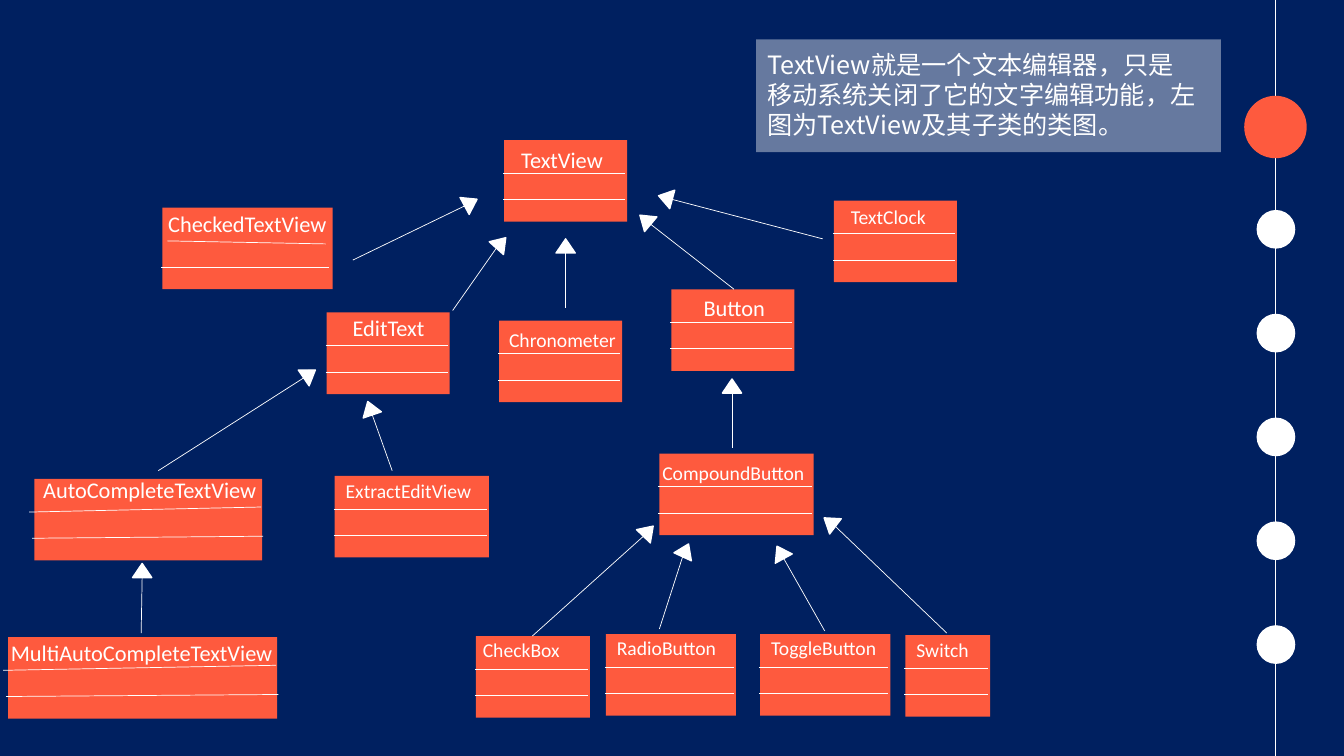
from dataclasses import dataclass
from math import cos, radians, sin

from lxml import etree
from pptx import Presentation
from pptx.dml.color import RGBColor
from pptx.enum.shapes import MSO_CONNECTOR, MSO_SHAPE
from pptx.oxml.ns import qn
from pptx.util import Inches, Pt

COLORS = {"navy": "002060", "coral": "FE5A3E", "white": "FFFFFF"}
LATIN_FONT = "Calibri"
CJK_FONT = "Noto Sans CJK SC"
BOX_HEIGHT = 0.81
HEAD_WIDTH, HEAD_HEIGHT = 0.19, 0.14

# Each divider: shift from left edge, y, shift from right edge, y
LEVEL = ((-0.01, 0.33, -0.02, 0.33), (-0.01, 0.59, -0.02, 0.59))
SLANTED = ((-0.05, 0.33, -0.01, 0.28), (-0.02, 0.59, 0.01, 0.57))
CHECKED = ((0.05, 0.33, -0.07, 0.36), (-0.01, 0.59, -0.04, 0.59))


@dataclass
class ClassBox:
    name: str
    left: float
    top: float
    width: float
    label_left: float
    label_top: float
    label_width: float
    size: int = 14
    dividers: tuple = LEVEL


@dataclass
class Inheritance:
    """Arrow whose head lies at (x, y), turned by angle, with its far end at the tail."""
    x: float
    y: float
    angle: float
    tail_x: float
    tail_y: float


CLASSES = [
    ClassBox("TextView", 5, 1.39, 1.22, 5.07, 1.4, 1.28, 16),
    ClassBox("Chronometer", 4.95, 3.18, 1.22, 4.95, 3.2, 1.38),
    ClassBox("CompoundButton", 6.54, 4.5, 1.53, 6.47, 4.52, 1.75),
    ClassBox("EditText", 3.24, 3.1, 1.22, 3.4, 3.07, 1.27, 16),
    ClassBox("Button", 6.66, 2.87, 1.22, 6.88, 2.87, 0.85, 16),
    ClassBox("TextClock", 8.27, 1.99, 1.22, 8.34, 1.98, 0.96),
    ClassBox("AutoCompleteTextView", 0.34, 4.75, 2.26, 0.33, 4.67, 2.48, 16, SLANTED),
    ClassBox("CheckedTextView", 1.61, 2.06, 1.69, 1.57, 2.04, 1.92, 16, CHECKED),
    ClassBox("MultiAutoCompleteTextView", 0.08, 6.32, 2.67, 0.01, 6.29, 2.94, 16, SLANTED),
    ClassBox("ExtractEditView", 3.32, 4.72, 1.53, 3.33, 4.7, 1.49),
    ClassBox("ToggleButton", 7.54, 6.29, 1.29, 7.55, 6.26, 1.26),
    ClassBox("CheckBox", 4.72, 6.31, 1.13, 4.69, 6.28, 1.1),
    ClassBox("RadioButton", 6.01, 6.29, 1.29, 6.02, 6.26, 1.26),
    ClassBox("Switch", 8.98, 6.3, 0.84, 8.99, 6.28, 0.82),
]

INHERITANCES = [
    Inheritance(5.61, 2.44, 0, 5.61, 3.06),
    Inheritance(4.67, 2.01, 61.6, 3.5, 2.58),
    Inheritance(4.97, 2.41, 42, 4.49, 3.08),
    Inheritance(6.6, 1.96, 285.2, 8.16, 2.37),
    Inheritance(6.4, 2.18, 310.1, 7.28, 2.87),
    Inheritance(3.07, 3.71, 55.7, 1.57, 4.67),
    Inheritance(3.67, 4.05, 341.3, 3.89, 4.67),
    Inheritance(1.41, 5.66, 0, 1.4, 6.28),
    Inheritance(7.26, 3.83, 0, 7.26, 4.44),
    Inheritance(6.43, 5.27, 43.9, 5.28, 6.31),
    Inheritance(6.8, 5.46, 24.7, 6.54, 6.24),
    Inheritance(7.74, 5.48, 331.3, 8.18, 6.26),
    Inheritance(8.23, 5.18, 307.2, 9.39, 6.28),
]

REMARK = [
    "TextView就是一个文本编辑器，只是",
    "移动系统关闭了它的文字编辑功能，左",
    "图为TextView及其子类的类图。",
]


def rgb(color: str) -> RGBColor:
    return RGBColor.from_string(COLORS[color])


def add_filled(slide, kind, left: float, top: float, width: float, height: float,
               color: str, outlined: bool = False):
    shape = slide.shapes.add_shape(
        kind, Inches(left), Inches(top), Inches(width), Inches(height))
    shape.shadow.inherit = False
    shape.fill.solid()
    shape.fill.fore_color.rgb = rgb(color)
    if outlined:
        shape.line.color.rgb = rgb(color)
        shape.line.width = Pt(1)
    else:
        shape.line.fill.background()
    return shape


def add_rule(slide, x1: float, y1: float, x2: float, y2: float) -> None:
    rule = slide.shapes.add_connector(
        MSO_CONNECTOR.STRAIGHT, Inches(x1), Inches(y1), Inches(x2), Inches(y2))
    rule.line.color.rgb = rgb("white")
    rule.line.width = Pt(0.5)
    etree.SubElement(rule._element.spPr, qn("a:effectLst"))


def add_text(slide, lines: list[str], left: float, top: float, width: float,
             height: float, size: int, font: str, wrap: bool = True):
    box = slide.shapes.add_textbox(
        Inches(left), Inches(top), Inches(width), Inches(height))
    frame = box.text_frame
    frame.word_wrap = wrap
    frame.text = "\n".join(lines)
    for paragraph in frame.paragraphs:
        for run in paragraph.runs:
            run.font.size = Pt(size)
            run.font.name = font
            run.font.color.rgb = rgb("white")
            east_asian = etree.SubElement(run._r.get_or_add_rPr(), qn("a:ea"))
            east_asian.set("typeface", font)
    return frame


def draw_class(slide, item: ClassBox) -> None:
    add_filled(slide, MSO_SHAPE.RECTANGLE, item.left, item.top, item.width,
               BOX_HEIGHT, "coral")
    right = item.left + item.width
    for start, start_y, end, end_y in item.dividers:
        add_rule(slide, item.left + start, item.top + start_y,
                 right + end, item.top + end_y)
    add_text(slide, [item.name], item.label_left, item.label_top,
             item.label_width, 0.37 if item.size == 16 else 0.34, item.size, LATIN_FONT)


def draw_inheritance(slide, item: Inheritance) -> None:
    head = add_filled(slide, MSO_SHAPE.ISOSCELES_TRIANGLE, item.x - HEAD_WIDTH / 2,
                      item.y - HEAD_HEIGHT / 2, HEAD_WIDTH, HEAD_HEIGHT, "white", True)
    head.rotation = item.angle
    turn = radians(item.angle)
    add_rule(slide, item.x - HEAD_HEIGHT / 2 * sin(turn),
             item.y + HEAD_HEIGHT / 2 * cos(turn), item.tail_x, item.tail_y)


def draw_timeline(slide) -> None:
    add_rule(slide, 12.65, 0, 12.65, 7.5)
    add_filled(slide, MSO_SHAPE.OVAL, 12.34, 0.95, 0.62, 0.62, "coral")
    for step in range(5):
        add_filled(slide, MSO_SHAPE.OVAL, 12.47, 2.09 + 1.03 * step,
                   0.37, 0.37, "white", True)


def draw_remark(slide) -> None:
    panel = add_filled(slide, MSO_SHAPE.RECTANGLE, 7.5, 0.39, 4.61, 1.12, "white")
    tint = panel._element.spPr.find(qn("a:solidFill"))[0]
    etree.SubElement(tint, qn("a:alpha")).set("val", "40000")
    frame = add_text(slide, REMARK, 7.51, 0.44, 4.46, 1.01, 18, CJK_FONT, wrap=False)
    for paragraph in frame.paragraphs:
        paragraph.line_spacing = Pt(21.5)


def main() -> None:
    deck = Presentation()
    deck.slide_width, deck.slide_height = Inches(13.33), Inches(7.5)
    slide = deck.slides.add_slide(deck.slide_layouts[6])
    slide.background.fill.solid()
    slide.background.fill.fore_color.rgb = rgb("navy")

    draw_timeline(slide)
    # Class diagram
    for item in CLASSES:
        draw_class(slide, item)
    for item in INHERITANCES:
        draw_inheritance(slide, item)
    draw_remark(slide)
    deck.save("out.pptx")


if __name__ == "__main__":
    main()
